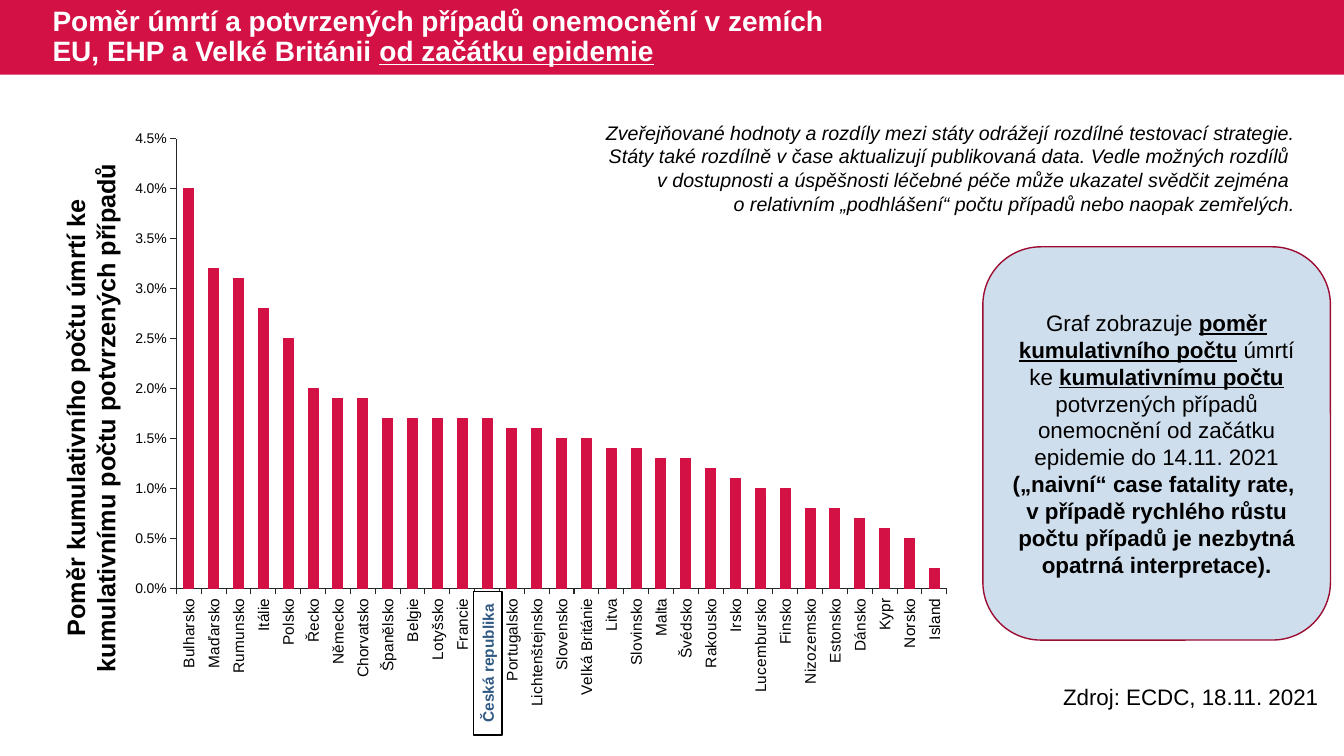
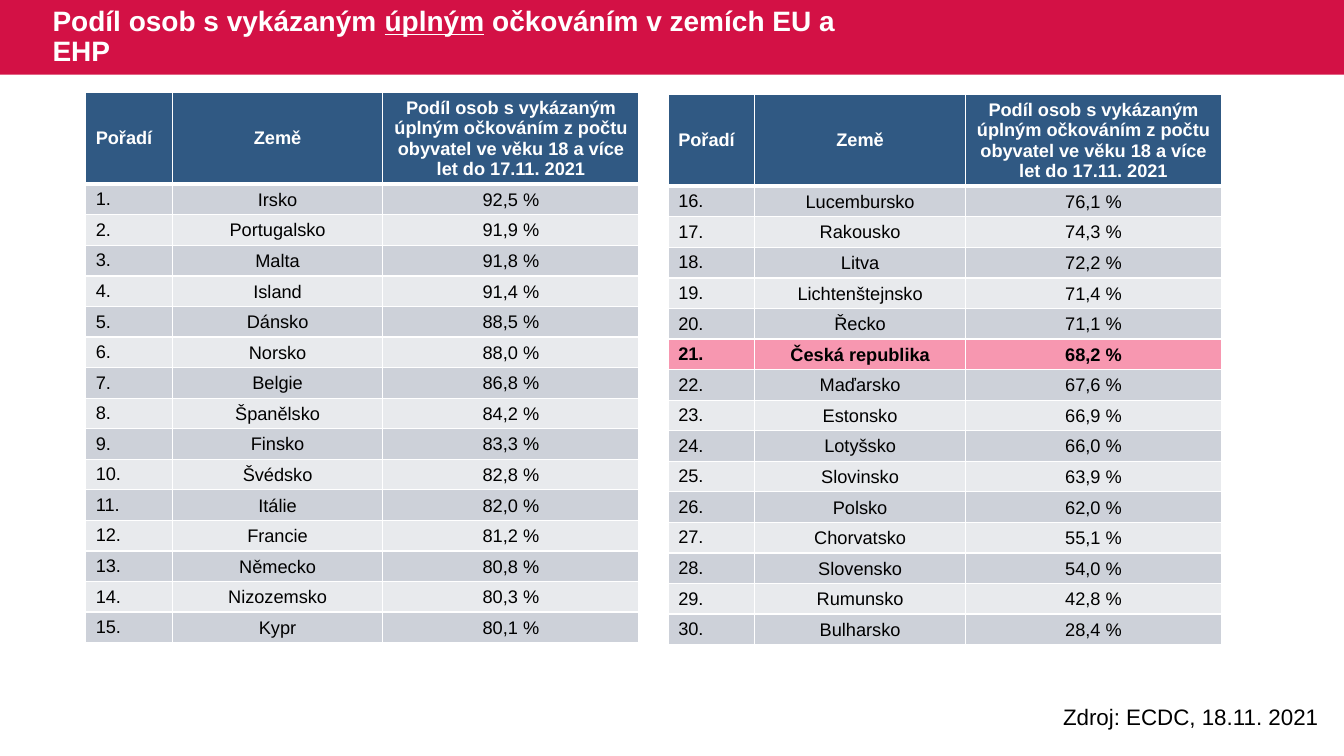
from dataclasses import dataclass
from typing import NamedTuple

from lxml import etree
from pptx import Presentation
from pptx import util as u
from pptx.chart import data
from pptx.dml import color
from pptx.enum import chart as ch
from pptx.enum import shapes, text
from pptx.oxml import ns

FONT = "Arial"
RED = "D31145"
WINE = "9C0D33"
PINK = "F797B0"
NAVY = "305983"
SKY = "CFDEED"
GREY = "CDD1D9"
PALE = "E8EAED"
WHITE = "FFFFFF"
BLACK = "000000"
INK = "262626"

ALIGN = text.PP_ALIGN
MID = text.MSO_ANCHOR.MIDDLE
KIND = shapes.MSO_SHAPE


class Run(NamedTuple):
    words: str
    bold: bool = False
    line: bool = False
    slant: bool = False


class Area(NamedTuple):
    left: float
    top: float
    width: float
    height: float
    turn: int = 0


@dataclass
class Look:
    size: float
    ink: str = BLACK
    align: ALIGN = ALIGN.LEFT
    space: float | None = None


@dataclass
class Form:
    kind: KIND
    area: Area
    fill: str
    edge: str | None = None


@dataclass
class Ranks:
    left: float
    top: float
    first: int
    rows: list[tuple[str, str]]


def tint(code: str) -> color.RGBColor:
    return color.RGBColor.from_string(code)


def style(font, size: float, ink: str = BLACK) -> None:
    font.name = FONT
    font.size = u.Pt(size)
    font.color.rgb = tint(ink)


def place(item, area: Area) -> None:
    item.left, item.top, item.width, item.height = map(u.Cm, area[:4])
    item.rotation = area.turn


def write(frame, paras: list[list[Run]], look: Look) -> None:
    for i, runs in enumerate(paras):
        para = frame.add_paragraph() if i else frame.paragraphs[0]
        para.alignment = look.align
        if look.space:
            para.line_spacing = look.space
        for run in runs:
            for j, words in enumerate(run.words.split("\n")):
                if j:
                    para.add_line_break()
                if not words:
                    continue
                part = para.add_run()
                part.text = words
                style(part.font, look.size, look.ink)
                part.font.bold = run.bold
                part.font.underline = run.line
                part.font.italic = run.slant


def add_text(slide, area: Area, paras: list[list[Run]], look: Look) -> None:
    box = slide.shapes.add_textbox(0, 0, 0, 0)
    place(box, area)
    box.text_frame.word_wrap = True
    write(box.text_frame, paras, look)


def add_form(slide, form: Form):
    item = slide.shapes.add_shape(form.kind, 0, 0, 0, 0)
    place(item, form.area)
    item.shadow.inherit = False
    item.fill.solid()
    item.fill.fore_color.rgb = tint(form.fill)
    if form.edge:
        item.line.color.rgb = tint(form.edge)
        item.line.width = u.Pt(1)
    else:
        item.line.fill.background()
    item.text_frame.word_wrap = True
    item.text_frame.vertical_anchor = MID
    return item


def set_base(deck, slide):
    base = slide.slide_layout
    band = add_form(slide, Form(KIND.RECTANGLE, Area(0, 0, 33.87, 1.88), RED))
    base.shapes._spTree.insert(2, band._element)
    head = base.placeholders[0]
    place(head, Area(1.07, 0, 20.73, 1.88))
    head.text_frame.vertical_anchor = MID
    head.text_frame.auto_size = text.MSO_AUTO_SIZE.NONE


def add_head(slide, runs: list[Run]) -> None:
    write(slide.shapes.title.text_frame, [runs], Look(20, WHITE, space=0.9))


def add_source(slide, top: float) -> None:
    add_text(slide, Area(26.54, top, 7.2, 0.94),
             [[Run("Zdroj: ECDC, 18.11. 2021")]], Look(16))


def set_axis(axis, size: float) -> None:
    axis.has_major_gridlines = False
    axis.major_tick_mark = ch.XL_TICK_MARK.OUTSIDE
    axis.minor_tick_mark = ch.XL_TICK_MARK.NONE
    axis.format.line.color.rgb = tint(INK)
    axis.format.line.width = u.Pt(0.75)
    style(axis.tick_labels.font, size)


def set_plot(chart, spots: dict[str, float]) -> None:
    area = chart._chartSpace.chart.plotArea
    for old in area.findall(ns.qn("c:layout")):
        area.remove(old)
    outer = etree.Element(ns.qn("c:layout"))
    area.insert(0, outer)
    inner = etree.SubElement(outer, ns.qn("c:manualLayout"))
    marks = {"layoutTarget": "inner", "xMode": "edge", "yMode": "edge", **spots}
    for name, val in marks.items():
        etree.SubElement(inner, ns.qn(f"c:{name}")).set("val", str(val))


def add_bars(slide, area: Area, names: list[str], rates: list[float]) -> None:
    feed = data.CategoryChartData(number_format="0.0%")
    feed.categories = names
    feed.add_series("Series 1", [rate / 100 for rate in rates])
    frame = slide.shapes.add_chart(ch.XL_CHART_TYPE.COLUMN_CLUSTERED,
                                   *map(u.Cm, area[:4]), feed)
    chart = frame.chart
    style(chart.font, 10)
    chart.has_title = False
    chart.has_legend = False
    plot = chart.plots[0]
    plot.vary_by_categories = False
    plot.gap_width = 150
    bars = plot.series[0].format
    bars.fill.solid()
    bars.fill.fore_color.rgb = tint(RED)
    bars.line.color.rgb = tint(RED)
    bars.line.width = u.Pt(0.75)
    lands, scale = chart.category_axis, chart.value_axis
    set_axis(lands, 11)
    set_axis(scale, 10)
    turn = lands._element.find(".//" + ns.qn("a:bodyPr"))
    turn.set("rot", "-5400000")
    turn.set("vert", "horz")
    scale.minimum_scale = 0
    scale.maximum_scale = 0.045
    scale.major_unit = 0.005
    scale.tick_labels.number_format = "0.0%"
    scale.tick_labels.number_format_is_linked = False
    set_plot(chart, {"x": 0.07, "y": 0.05, "w": 0.91, "h": 0.75})


def set_edge(cell, base: float) -> None:
    props = cell._tc.get_or_add_tcPr()
    for i, (side, size) in enumerate({"L": 1, "R": 1, "T": 1, "B": base}.items()):
        line = etree.Element(ns.qn(f"a:ln{side}"), w=str(u.Pt(size)))
        fill = etree.SubElement(line, ns.qn("a:solidFill"))
        etree.SubElement(fill, ns.qn("a:srgbClr"), val=WHITE)
        props.insert(i, line)


def add_ranks(slide, ranks: Ranks) -> None:
    lines = [("Pořadí", "Země", "Podíl osob s vykázaným úplným očkováním z počtu "
              "obyvatel ve věku 18 a více let do 17.11. 2021")]
    lines += [(f"{i}.", land, f"{rate} %")
              for i, (land, rate) in enumerate(ranks.rows, ranks.first)]
    wide = [2.18, 5.31, 6.45]
    high = [2.3] + [0.77] * len(ranks.rows)
    grid = slide.shapes.add_table(len(lines), len(wide), u.Cm(ranks.left),
                                  u.Cm(ranks.top), u.Cm(sum(wide)),
                                  u.Cm(sum(high))).table
    grid.horz_banding = False
    for col, width in zip(grid.columns, wide):
        col.width = u.Cm(width)
    for i, line in enumerate(lines):
        grid.rows[i].height = u.Cm(high[i])
        home = line[1] == "Česká republika"
        fill = NAVY if i == 0 else PINK if home else GREY if i % 2 else PALE
        for j, words in enumerate(line):
            cell = grid.cell(i, j)
            cell.vertical_anchor = MID
            if i and j:
                cell.margin_left = cell.margin_right = cell.margin_top = u.Cm(0.03)
                cell.margin_bottom = 0
            cell.fill.solid()
            cell.fill.fore_color.rgb = tint(fill)
            set_edge(cell, 1 if i else 3)
            write(cell.text_frame, [[Run(words, i == 0 or home)]],
                  Look(13, BLACK if i else WHITE, ALIGN.CENTER if j else ALIGN.LEFT))


LANDS = ("Bulharsko,Maďarsko,Rumunsko,Itálie,Polsko,Řecko,Německo,Chorvatsko,"
         "Španělsko,Belgie,Lotyšsko,Francie,Česká republika,Portugalsko,"
         "Lichtenštejnsko,Slovensko,Velká Británie,Litva,Slovinsko,Malta,Švédsko,"
         "Rakousko,Irsko,Lucembursko,Finsko,Nizozemsko,Estonsko,Dánsko,Kypr,"
         "Norsko,Island").split(",")
RATES = [4.0, 3.2, 3.1, 2.8, 2.5, 2.0, 1.9, 1.9, 1.7, 1.7, 1.7, 1.7, 1.7, 1.6, 1.6,
         1.5, 1.5, 1.4, 1.4, 1.3, 1.3, 1.2, 1.1, 1.0, 1.0, 0.8, 0.8, 0.7, 0.6, 0.5, 0.2]
SHARES = [
    ("Irsko", "92,5"), ("Portugalsko", "91,9"), ("Malta", "91,8"),
    ("Island", "91,4"), ("Dánsko", "88,5"), ("Norsko", "88,0"),
    ("Belgie", "86,8"), ("Španělsko", "84,2"), ("Finsko", "83,3"),
    ("Švédsko", "82,8"), ("Itálie", "82,0"), ("Francie", "81,2"),
    ("Německo", "80,8"), ("Nizozemsko", "80,3"), ("Kypr", "80,1"),
    ("Lucembursko", "76,1"), ("Rakousko", "74,3"), ("Litva", "72,2"),
    ("Lichtenštejnsko", "71,4"), ("Řecko", "71,1"), ("Česká republika", "68,2"),
    ("Maďarsko", "67,6"), ("Estonsko", "66,9"), ("Lotyšsko", "66,0"),
    ("Slovinsko", "63,9"), ("Polsko", "62,0"), ("Chorvatsko", "55,1"),
    ("Slovensko", "54,0"), ("Rumunsko", "42,8"), ("Bulharsko", "28,4"),
]


def draw_deaths(slide) -> None:
    add_head(slide, [Run("Poměr úmrtí a potvrzených případů onemocnění v zemích "
                         "EU, EHP a Velké Británii ", True),
                     Run("od začátku epidemie", True, True)])
    add_source(slide, 17.09)
    add_text(slide, Area(-4.6, 9.63, 13.77, 1.8, 270),
             [[Run("Poměr kumulativního počtu úmrtí ke kumulativnímu počtu "
                   "potvrzených případů", True)]], Look(18, align=ALIGN.CENTER))
    add_bars(slide, Area(2.95, 2.74, 21.34, 15.11), LANDS, RATES)
    note = add_form(slide, Form(KIND.ROUNDED_RECTANGLE,
                                Area(24.77, 6.22, 8.76, 9.91), SKY, WINE))
    write(note.text_frame, [[
        Run("Graf zobrazuje "), Run("poměr kumulativního počtu", True, True),
        Run(" úmrtí ke "), Run("kumulativnímu počtu", True, True),
        Run(" potvrzených případů onemocnění od začátku epidemie do 14.11. 2021\n"),
        Run("(„naivní“ case fatality rate, \nv případě rychlého růstu počtu případů "
            "je nezbytná opatrná interpretace).", True),
    ]], Look(16, align=ALIGN.CENTER))
    home = add_form(slide, Form(KIND.RECTANGLE, Area(10.49, 16.36, 3.61, 0.71, 270),
                                WHITE, BLACK))
    write(home.text_frame, [[Run("Česká republika", True)]],
          Look(11, NAVY, ALIGN.CENTER))
    add_text(slide, Area(14.78, 2.92, 18.11, 2.64), [
        [Run("Zveřejňované hodnoty a rozdíly mezi státy odrážejí rozdílné testovací "
             "strategie. Státy také rozdílně v čase aktualizují publikovaná data. "
             "Vedle možných rozdílů \nv dostupnosti a úspěšnosti léčebné péče může "
             "ukazatel svědčit zejména ", slant=True)],
        [Run("o relativním „podhlášení“ počtu případů nebo naopak zemřelých.",
             slant=True)]], Look(14, align=ALIGN.RIGHT))


def draw_shares(slide) -> None:
    add_head(slide, [Run("Podíl osob s vykázaným ", True), Run("úplným", True, True),
                     Run(" očkováním v zemích EU a EHP", True)])
    add_ranks(slide, Ranks(2.16, 2.34, 1, SHARES[:15]))
    add_ranks(slide, Ranks(16.84, 2.39, 16, SHARES[15:]))
    add_source(slide, 17.6)


def main() -> None:
    deck = Presentation()
    deck.slide_width, deck.slide_height = u.Cm(33.87), u.Cm(19.05)
    base = deck.slide_layouts[5]
    deaths, shares = (deck.slides.add_slide(base) for _ in range(2))
    set_base(deck, deaths)
    draw_deaths(deaths)
    draw_shares(shares)
    deck.save("out.pptx")


if __name__ == "__main__":
    main()
